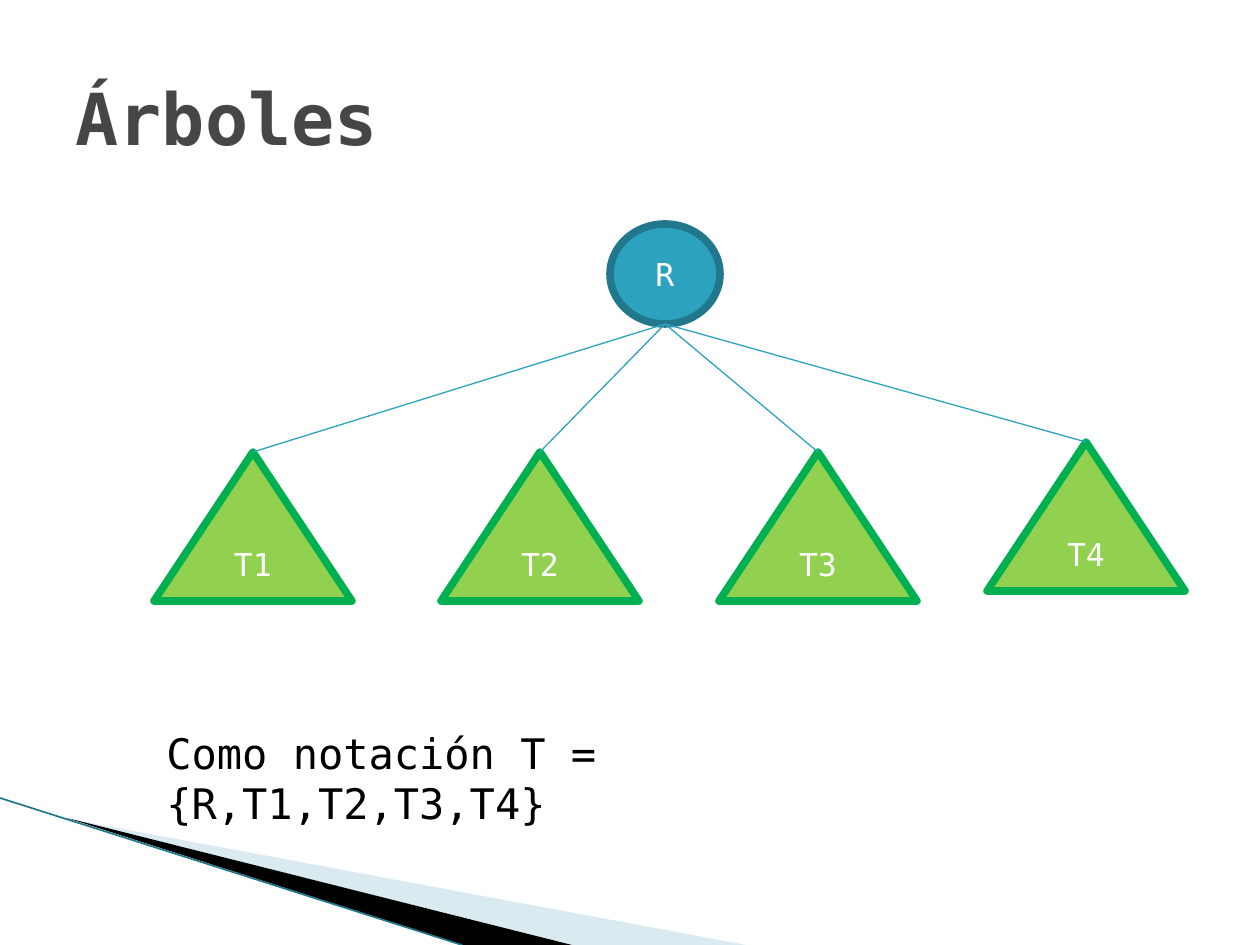
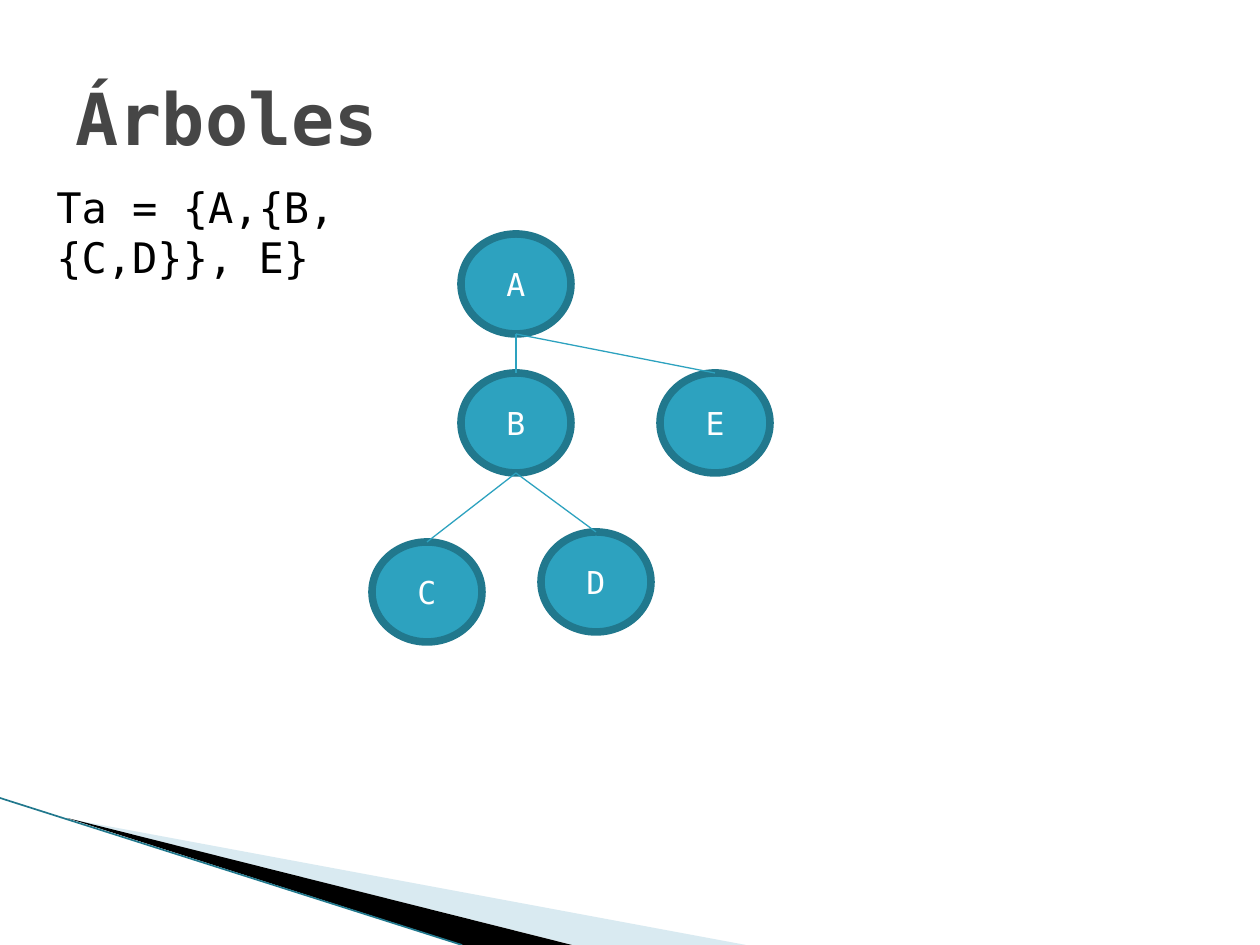
from dataclasses import dataclass

from lxml.etree import SubElement
from pptx import Presentation
from pptx.dml.color import RGBColor
from pptx.enum.shapes import MSO_CONNECTOR, MSO_SHAPE
from pptx.enum.text import MSO_ANCHOR, PP_ALIGN
from pptx.oxml.ns import qn
from pptx.presentation import Presentation as Deck
from pptx.shapes.base import BaseShape
from pptx.slide import Slide
from pptx.text.text import TextFrame
from pptx.util import Emu, Pt

PX = 914400 / 126  # EMU per px
SLIDE_W, SLIDE_H = 1260, 945
FONT = "DejaVu Sans Mono"

BLACK = RGBColor(0x00, 0x00, 0x00)
WHITE = RGBColor(0xFF, 0xFF, 0xFF)
GRAY = RGBColor(0x46, 0x46, 0x46)
TEAL = RGBColor(0x2D, 0xA2, 0xBF)
DARK_TEAL = RGBColor(0x21, 0x78, 0x8D)
PALE_BLUE = RGBColor(0xA0, 0xCB, 0xDC)
LIME = RGBColor(0x92, 0xD0, 0x50)
GREEN = RGBColor(0x00, 0xB0, 0x50)


@dataclass(frozen=True)
class NodeStyle:
    shape: MSO_SHAPE
    width: int
    height: int
    fill: RGBColor
    line: RGBColor


@dataclass(frozen=True)
class Node:
    label: str
    left: int
    top: int
    style: NodeStyle
    parent: str = ""

    @property
    def center(self) -> int:
        return self.left + self.style.width // 2

    @property
    def bottom(self) -> int:
        return self.top + self.style.height


@dataclass(frozen=True)
class Note:
    text: str
    left: int
    top: int
    width: int
    height: int = 63


@dataclass(frozen=True)
class Tree:
    nodes: tuple[Node, ...]
    note: Note


CIRCLE = NodeStyle(MSO_SHAPE.OVAL, 110, 100, TEAL, DARK_TEAL)
SUBTREE = NodeStyle(MSO_SHAPE.ISOSCELES_TRIANGLE, 198, 149, LIME, GREEN)

TREES = (
    Tree(
        (
            Node("R", 610, 224, CIRCLE),
            Node("T1", 154, 452, SUBTREE, "R"),
            Node("T2", 441, 452, SUBTREE, "R"),
            Node("T3", 719, 452, SUBTREE, "R"),
            Node("T4", 987, 442, SUBTREE, "R"),
        ),
        Note("Como notación T = {R,T1,T2,T3,T4}", 154, 721, 761),
    ),
    Tree(
        (
            Node("A", 461, 234, CIRCLE),
            Node("B", 461, 373, CIRCLE, "A"),
            Node("E", 660, 373, CIRCLE, "A"),
            Node("C", 372, 542, CIRCLE, "B"),
            Node("D", 541, 532, CIRCLE, "B"),
        ),
        Note("Ta = {A,{B,{C,D}}, E}", 44, 175, 423),
    ),
)


def px(value: int) -> Emu:
    return Emu(round(value * PX))


def write(tf: TextFrame, text: str, *, size: int, color: RGBColor, bold: bool = False,
          align: PP_ALIGN = PP_ALIGN.LEFT, anchor: MSO_ANCHOR = MSO_ANCHOR.MIDDLE) -> None:
    tf.word_wrap = True
    tf.vertical_anchor = anchor
    p = tf.paragraphs[0]
    p.alignment = align
    r = p.add_run()
    r.text = text
    r.font.name = FONT
    r.font.size = Pt(size)
    r.font.bold = bold
    r.font.color.rgb = color


def add_line(s: Slide, start: tuple[int, int], end: tuple[int, int],
             color: RGBColor, width: float) -> None:
    line = s.shapes.add_connector(MSO_CONNECTOR.STRAIGHT, *map(px, start + end))
    line.line.color.rgb = color
    line.line.width = Pt(width)
    SubElement(line._element.spPr, qn("a:effectLst"))


def add_wedge(s: Slide, points: list[tuple[int, int]], color: RGBColor) -> BaseShape:
    builder = s.shapes.build_freeform(*points[0], scale=PX)
    builder.add_line_segments(points[1:], close=True)
    sp = builder.convert_to_shape()
    sp.shadow.inherit = False
    sp.fill.solid()
    sp.fill.fore_color.rgb = color
    sp.line.fill.background()
    return sp


def set_opacity(sp: BaseShape, percent: int) -> None:
    color = sp._element.spPr.find(qn("a:solidFill"))[0]
    SubElement(color, qn("a:alpha"), val=str(percent * 1000))


def add_corner_bands(s: Slide) -> None:
    pale = add_wedge(s, [(69, 819), (746, SLIDE_H), (573, SLIDE_H)], PALE_BLUE)
    set_opacity(pale, 40)
    add_wedge(s, [(67, 818), (572, SLIDE_H), (463, SLIDE_H)], BLACK)
    add_line(s, (0, 798), (462, SLIDE_H), DARK_TEAL, 0.95)


def add_title(s: Slide, text: str) -> None:
    title = s.shapes.title
    title.left, title.top, title.width, title.height = map(px, (63, 38, 1134, 157))
    write(title.text_frame, text, size=41, color=GRAY, bold=True)


def add_node(s: Slide, node: Node) -> None:
    style = node.style
    sp = s.shapes.add_shape(
        style.shape, *map(px, (node.left, node.top, style.width, style.height)))
    sp.shadow.inherit = False
    sp.fill.solid()
    sp.fill.fore_color.rgb = style.fill
    sp.line.color.rgb = style.line
    sp.line.width = Pt(4.33)
    write(sp.text_frame, node.label, size=18, color=WHITE, align=PP_ALIGN.CENTER)


def add_note(s: Slide, note: Note) -> None:
    box = s.shapes.add_textbox(*map(px, (note.left, note.top, note.width, note.height)))
    write(box.text_frame, note.text, size=24, color=BLACK, anchor=MSO_ANCHOR.TOP)


def add_tree_slide(prs: Deck, tree: Tree) -> None:
    s = prs.slides.add_slide(prs.slide_layouts[5])
    add_corner_bands(s)
    add_title(s, "Árboles")
    by_label = {node.label: node for node in tree.nodes}
    for node in tree.nodes:
        add_node(s, node)
    for node in tree.nodes:
        if node.parent:
            parent = by_label[node.parent]
            add_line(s, (parent.center, parent.bottom), (node.center, node.top), TEAL, 0.75)
    add_note(s, tree.note)


def main() -> None:
    prs = Presentation()
    prs.slide_width, prs.slide_height = px(SLIDE_W), px(SLIDE_H)
    for tree in TREES:
        add_tree_slide(prs, tree)
    prs.save("out.pptx")


if __name__ == "__main__":
    main()
